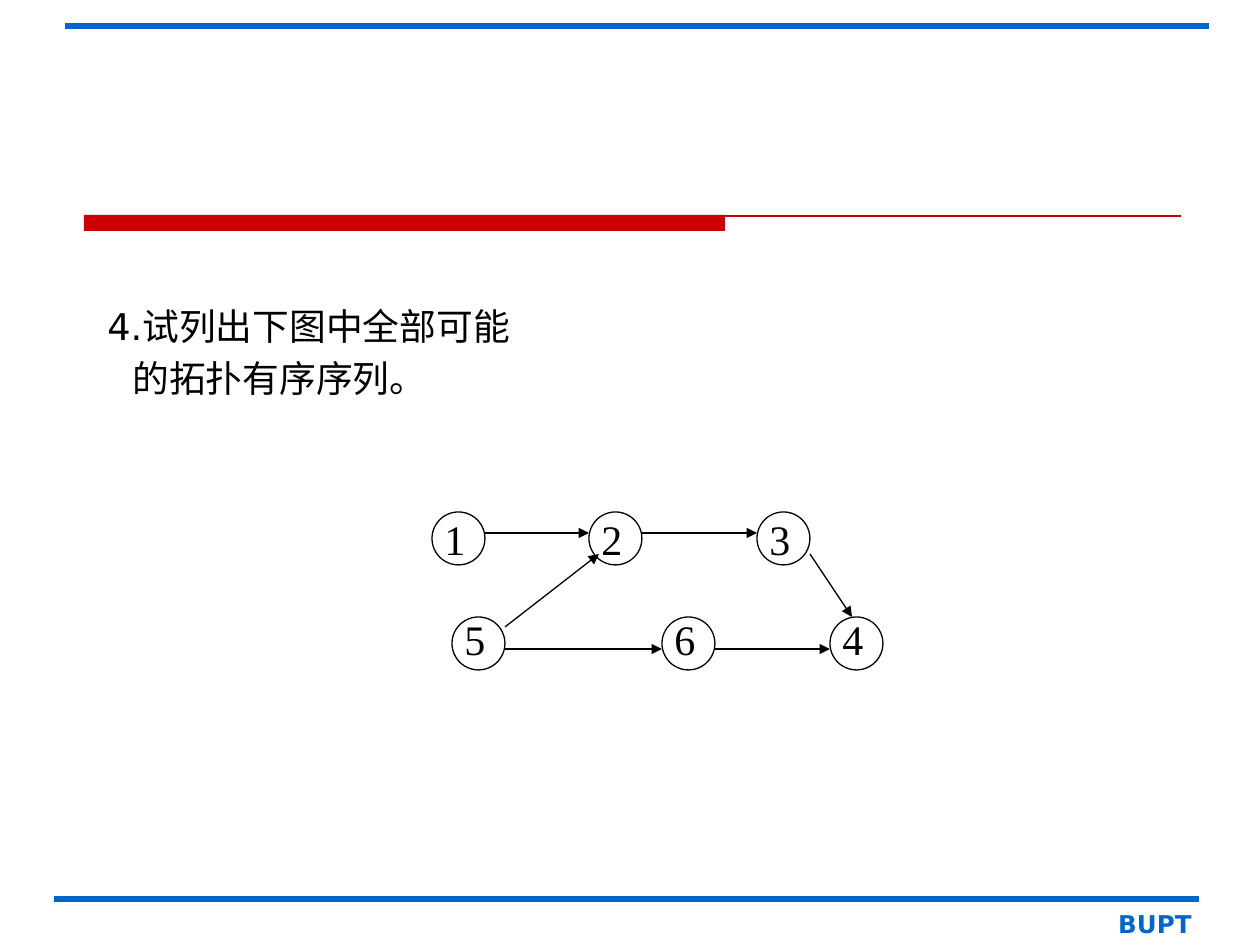
from lxml.etree import SubElement
from pptx import Presentation
from pptx.dml.color import RGBColor
from pptx.enum.shapes import MSO_CONNECTOR as CONN, MSO_SHAPE as SHAPE
from pptx.enum.text import MSO_ANCHOR as ANCHOR, PP_ALIGN as ALIGN
from pptx.oxml.ns import qn
from pptx.util import Pt

PX = 914400 / 126
THEME = {
    "blue": RGBColor(0x00, 0x66, 0xCC),
    "red": RGBColor(0xCC, 0x00, 0x00),
    "black": RGBColor(0, 0, 0),
    "sans": "DejaVu Sans", "serif": "Times New Roman",
    "body": Pt(21), "label": Pt(24), "footer": Pt(14),
    "thin": Pt(0.75), "thick": Pt(3),
}

# Content: question lines with their indent in px
QUESTION = [("4.试列出下图中全部可能", 0), ("的拓扑有序序列。", 25)]
FOOTER = "BUPT"

# Graph: rows of nodes as (top, label box top, {name: left})
NODE_SIZE = 53
ROWS = [
    (512, 507, {"1": 432, "2": 589, "3": 757}),
    (617, 607, {"5": 452, "6": 662, "4": 830}),
]
# Edges: start node, offset in it, end node, offset in it
EDGES = [
    ("1", (53, 21), "2", (0, 21)),
    ("2", (53, 21), "3", (0, 21)),
    ("5", (53, 10), "2", (10, 42)),
    ("5", (53, 32), "6", (0, 32)),
    ("6", (53, 32), "4", (0, 32)),
    ("3", (53, 42), "4", (22, 0)),
]
# Rules: x1, x2, y, colour, width
RULES = [
    (84, 1181, 216, "red", "thin"),
    (65, 1209, 26, "blue", "thick"),
    (54, 1199, 899, "blue", "thick"),
]


def emu(*values):
    return [round(v * PX) for v in values]


def add_line(s, start, end, color="black", width="thin", arrow=False):
    c = s.shapes.add_connector(CONN.STRAIGHT, *emu(*start, *end))
    c.line.color.rgb = THEME[color]
    c.line.width = THEME[width]
    if arrow:
        SubElement(c.line._get_or_add_ln(), qn("a:tailEnd"), type="triangle")
    SubElement(c._element.spPr, qn("a:effectLst"))


def add_shape(s, kind, box, fill=None, line=None):
    sp = s.shapes.add_shape(kind, *emu(*box))
    sp.shadow.inherit = False
    if fill:
        sp.fill.solid()
        sp.fill.fore_color.rgb = THEME[fill]
    else:
        sp.fill.background()
    if line:
        sp.line.color.rgb = THEME[line]
        sp.line.width = THEME["thin"]
    else:
        sp.line.fill.background()


def add_text(s, box, lines, face, size, color="black", bold=False,
             align=ALIGN.LEFT, tabs=()):
    tf = s.shapes.add_textbox(*emu(*box)).text_frame
    tf.word_wrap = True
    tf.vertical_anchor = ANCHOR.TOP
    for i, (text, indent) in enumerate(lines):
        p = tf.add_paragraph() if i else tf.paragraphs[0]
        p.alignment = align
        if i:
            p.space_before = Pt(4.5)
        pPr = p._p.get_or_add_pPr()
        if indent:
            pPr.set("marL", str(emu(indent)[0]))
        if tabs:
            stops = SubElement(pPr, qn("a:tabLst"))
            for pos in emu(*tabs):
                SubElement(stops, qn("a:tab"), pos=str(pos), algn="l")
        r = p.add_run()
        r.text = text
        fmt = {"name": THEME[face], "size": THEME[size], "bold": bold}
        for key, value in fmt.items():
            setattr(r.font, key, value)
        r.font.color.rgb = THEME[color]


def main():
    prs = Presentation()
    prs.slide_width, prs.slide_height = emu(1260, 945)
    s = prs.slides.add_slide(prs.slide_layouts[6])

    # Frame: title bar, rules and footer
    add_shape(s, SHAPE.RECTANGLE, (84, 215, 641, 16), fill="red")
    for x1, x2, y, color, width in RULES:
        add_line(s, (x1, y), (x2, y), color, width)
    add_text(s, (868, 903, 336, 43), [(FOOTER, 0)], "sans", "footer", "blue",
             bold=True, align=ALIGN.RIGHT)

    # Question
    add_text(s, (95, 298, 1071, 120), QUESTION, "sans", "body")

    # Nodes, with one tabbed label line for each row
    nodes = {}
    for top, label_top, row in ROWS:
        for name, left in row.items():
            nodes[name] = (left, top)
            add_shape(s, SHAPE.OVAL, (left, top, NODE_SIZE, NODE_SIZE),
                      line="black")
        first, *rest = row.values()
        add_text(s, (first, label_top, 441, 63), [("\t".join(row), 0)],
                 "serif", "label", tabs=[x - first for x in rest])

    # Edges
    for a, start, b, end in EDGES:
        ends = [[n + d for n, d in zip(nodes[name], offset)]
                for name, offset in ((a, start), (b, end))]
        add_line(s, *ends, arrow=True)

    prs.save("out.pptx")


if __name__ == "__main__":
    main()
